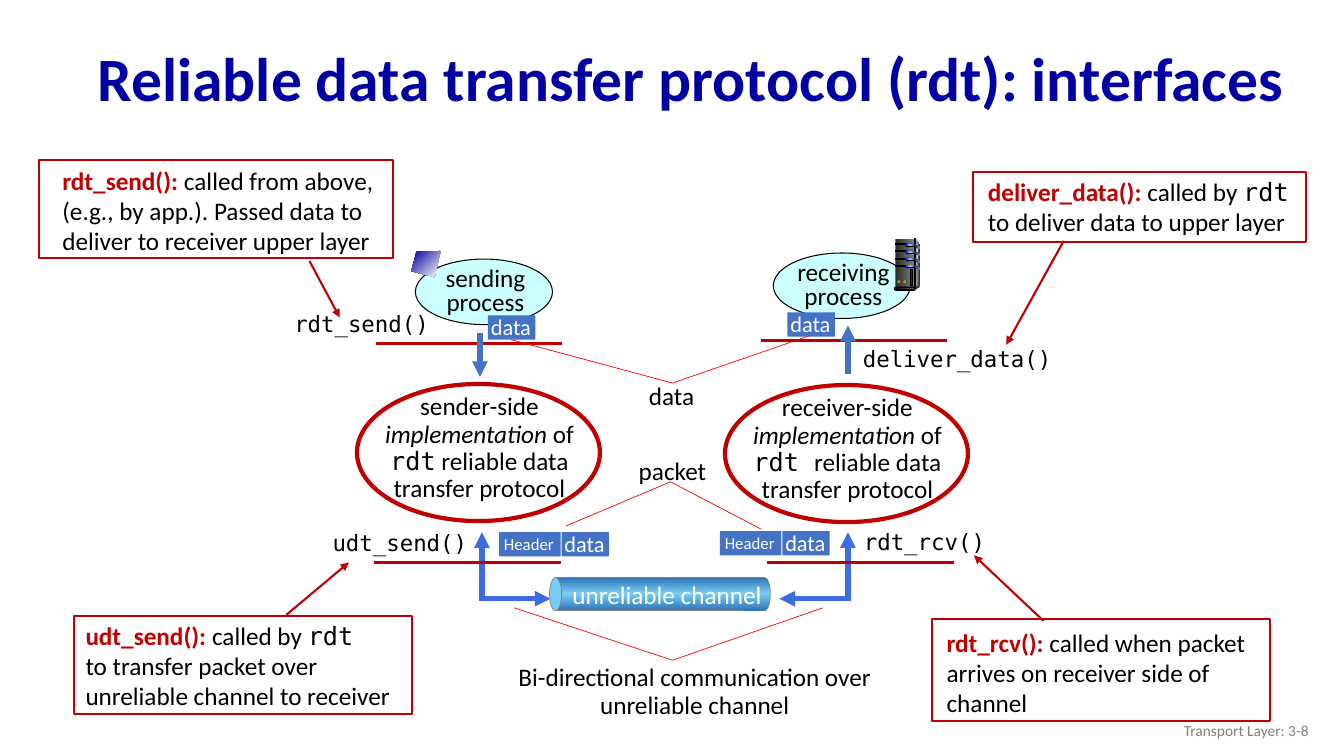
from copy import deepcopy

from lxml import etree
from pptx import Presentation
from pptx.dml.color import RGBColor
from pptx.enum.shapes import MSO_CONNECTOR, MSO_SHAPE
from pptx.enum.text import MSO_ANCHOR, PP_ALIGN
from pptx.oxml.ns import qn
from pptx.util import Inches, Pt

RECT, ROUND, OVAL = MSO_SHAPE.RECTANGLE, MSO_SHAPE.ROUNDED_RECTANGLE, MSO_SHAPE.OVAL
STRAIGHT = MSO_CONNECTOR.STRAIGHT
TOP, MIDDLE = MSO_ANCHOR.TOP, MSO_ANCHOR.MIDDLE
LEFT, CENTER, RIGHT = PP_ALIGN.LEFT, PP_ALIGN.CENTER, PP_ALIGN.RIGHT
SANS, MONO = "Calibri", "DejaVu Sans Mono"
RED, THIN_RED, BLUE, LINK = "C00000", "FF0000", "4472C4", "3C6CDF"
BLACK, WHITE, GRAY = "000000", "FFFFFF", "808080"
PIPE = [(0, "2E75B6"), (0.52, "7ACCF4"), (1, "2E75B6")]
LED = [(0, "0000FF"), (0.5, "99CCFF"), (1, "0000FF")]
DARK = [(0, "292929"), (1, GRAY)]
CODE, NAME, ITALIC = {"font": MONO}, {"bold": True, "color": RED}, {"italic": True}

# Every length is in cells of a grid of 133.3 columns by 75 rows
prs = Presentation()
prs.slide_width, prs.slide_height = Inches(13.33), Inches(7.5)
CELL = prs.slide_height / 75
slide = prs.slides.add_slide(prs.slide_layouts[6])
shapes = slide.shapes


def emu(*cells):
    return [round(c * CELL) for c in cells]


def rgb(value):
    return RGBColor.from_string(value)


def paint(sp, fill, line=None, width=0.75, angle=0):
    """Fill with a colour, a list of gradient stops, or nothing; then outline."""
    sp.shadow.inherit = False
    if fill is None:
        sp.fill.background()
    elif isinstance(fill, str):
        sp.fill.solid()
        sp.fill.fore_color.rgb = rgb(fill)
    else:
        sp.fill.gradient()
        sp.fill.gradient_angle = angle
        stops = next(sp._element.iter(qn("a:gsLst")))
        while len(stops) < len(fill):
            stops.append(deepcopy(stops[-1]))
        for stop, (position, color) in zip(sp.fill.gradient_stops, fill):
            stop.position, stop.color.rgb = position, rgb(color)
    if line:
        sp.line.color.rgb, sp.line.width = rgb(line), Pt(width)
    else:
        sp.line.fill.background()


def shape(kind, box, fill=None, **look):
    sp = shapes.add_shape(kind, *emu(*box))
    if kind == ROUND:
        sp.adjustments[0] = 0.5
    paint(sp, fill, **look)


def outline(x, y, points, fill, **look):
    points = [emu(x + dx, y + dy) for dx, dy in points]
    builder = shapes.build_freeform(*points[0])
    builder.add_line_segments(points[1:], close=True)
    paint(builder.convert_to_shape(), fill, **look)


def line(start, end, color, width, arrow=False):
    sp = shapes.add_connector(STRAIGHT, *emu(*start, *end))
    sp.line.color.rgb, sp.line.width = rgb(color), Pt(width)
    if arrow:
        etree.SubElement(sp.line._get_or_add_ln(), qn("a:tailEnd"), type="triangle")
    etree.SubElement(sp._element.spPr, qn("a:effectLst"))


def text(box, content, size=18, color=BLACK, font=SANS, bold=False,
         align=LEFT, spacing=None, anchor=TOP, wrap=True):
    """content is a string, or a list of paragraphs made of (text, format) runs."""
    tf = shapes.add_textbox(*emu(*box)).text_frame
    tf.word_wrap, tf.vertical_anchor = wrap, anchor
    paragraphs = [[(content, {})]] if isinstance(content, str) else content
    for i, runs in enumerate(paragraphs):
        p = tf.add_paragraph() if i else tf.paragraphs[0]
        p.alignment = align
        if spacing:
            p.line_spacing = spacing
        for words, own in runs:
            r = p.add_run()
            r.text = words
            r.font.size = Pt(size)
            r.font.name = own.get("font", font)
            r.font.bold = own.get("bold", bold)
            r.font.italic = own.get("italic", False)
            r.font.color.rgb = rgb(own.get("color", color))


def tag(x, y, label="data"):
    if label == "data":
        shape(RECT, (x, y, 4.7, 2.4), BLUE)
        text((x - 0.7, y - 0.7, 6.3, 3.7), label, size=16, color=WHITE)
    else:
        shape(RECT, (x, y, 6.1, 2.4), BLUE)
        text((x - 0.5, y - 0.3, 7.5, 3), label, size=12, color=WHITE)


def packet(x, y):
    tag(x + 6.2, y)
    tag(x, y, "Header")


def process(x, y, name, tag_dx, tag_dy):
    shape(OVAL, (x, y, 13.6, 6.5), "CCFFFF", line=BLACK)
    text((x + 0.9, y + 0.4, 12.1, 5.9), name, align=CENTER, spacing=0.8)
    tag(x + tag_dx, y + tag_dy)


def server(x, y):
    # Cabinet: side, front, edge
    outline(x, y, [(2.1, 0), (2.5, 0.6), (2.5, 4.6), (2, 4.9)],
            [(0, "DDDDDD"), (1, "333333")])
    shape(RECT, (x + 0.1, y, 1.9, 4.9), DARK)
    outline(x, y, [(2.1, 0.3), (2.4, 0.7), (2.2, 2.6), (2.1, 4.7)],
            [(0, GRAY), (1, "F8F8F8")])
    shape(RECT, (x + 2, y, 0.1, 4.9),
          [(0, "333333"), (0.5, "DDDDDD"), (1, "333333")], line=BLACK)
    # Drive slots
    for row in range(4):
        top = y + 0.5 + 0.7 * row
        shape(RECT, (x + 0.1, top, 1.1, 0.1), BLACK, line=BLACK)
        shape(ROUND, (x + 1.1, top, 1, 0.3), BLACK)
        shape(ROUND, (x + 1.1, top, 1, 0.2), LED)
        outline(x + 2, top, [(0, 0), (0.5, 0.3), (0.5, 0.5), (0, 0.2)], DARK)
    # Base, lamps, handle
    outline(x + 2, y + 4.6, [(0, 0.2), (0, 0.5), (0.5, 0.2), (0.5, 0)], "333333")
    shape(ROUND, (x, y + 4.8, 2.1, 0.3), "DDDDDD", line=BLACK)
    shape(ROUND, (x + 0.1, y + 4.8, 1.9, 0.2), [(0, BLACK), (1, GRAY)], line=BLACK)
    for i, color in enumerate(("33CC33", "FF0000", "33CC33")):
        shape(OVAL, (x + 0.3 + 0.3 * i, y + 4.1, 0.3, 0.3), color)
    shape(RECT, (x + 1.6, y + 3, 0.2, 1.6), "292929", line=BLACK)


def protocol(x, y, side, code, rest):
    text((x + 1.2, y + 0.5, 21.9, 11.9),
         [[(side, {})],
          [("implementation", ITALIC), (" of ", {}), (code, CODE), (rest, {})]],
         align=CENTER, spacing=0.9)
    shape(OVAL, (x, y, 24.1, 13.6), line=RED, width=3)


def channel(x, y):
    shape(RECT, (x + 0.6, y, 20.7, 3.3), PIPE, line=GRAY, width=0.5, angle=90)
    shape(OVAL, (x, y, 1.2, 3.3), "7ACCF4", line=GRAY, width=0.5)
    shape(OVAL, (x + 20.7, y, 1.2, 3.3), PIPE, line=GRAY, width=0.5, angle=90)
    shape(RECT, (x + 19.2, y, 2.1, 3.3), PIPE, angle=90)
    text((x + 1.3, y - 0.3, 21, 4), "unreliable channel", color=WHITE, wrap=False)
    # Two-way links up to both protocol sides
    for corner, end in ((x - 6.7, x + 0.1), (x + 29.6, x + 22.8)):
        line((corner, y + 2.3), (corner, y - 4.5), LINK, 3.75, arrow=True)
        line((corner, y + 2.1), (end, y + 2.1), LINK, 3.75, arrow=True)


def callout(box, shift, text_width, content, start, tip):
    x, y, w, h = box
    text((x + shift[0], y + shift[1], text_width, h + 0.3), content)
    line(start, tip, RED, 1.5, arrow=True)
    shape(RECT, box, line=RED, width=1.5)


def joint_label(box, words, meet, ends):
    text(box, words, align=CENTER, spacing=0.9)
    for end in ends:
        line(end, meet, THIN_RED, 0.5)


def interfaces():
    for x, y, width in ((37.3, 34.1, 18.4), (75.5, 33.8, 18.4),
                        (37.1, 55.8, 18.5), (76.1, 55.8, 18.5)):
        line((x, y), (x + width, y), RED, 1.75)
    for x, y, width, call in ((28.2, 30.3, 18.5, "rdt_send()"),
                              (32, 52, 18.5, "udt_send()"),
                              (84.7, 51.9, 18.5, "rdt_rcv()"),
                              (84.6, 33.8, 21.2, "deliver_data()")):
        text((x, y, width, 3.7), call, size=16, font=MONO)
    line((47.6, 33), (47.6, 37.4), BLUE, 3.75, arrow=True)
    line((84.1, 37.1), (84.1, 32.3), BLUE, 3.75, arrow=True)


# Title and footer
text((8.7, 3.2, 121.4, 9.8), "Reliable data transfer protocol (rdt): interfaces",
     size=44, color="0000A3", bold=True, spacing=0.9, anchor=MIDDLE)
text((100.8, 70.5, 30, 4), "Transport Layer: 3-8", size=11, color=GRAY,
     align=RIGHT, anchor=MIDDLE)

# Sender and receiver stacks
process(41.2, 25.7, "sending process", 7.2, 5.6)
outline(40.8, 24.9, [(2.9, 0), (0.5, 0.1), (0, 2), (2.3, 2.6)],
        [(0, "000099"), (1, WHITE)], angle=315)
process(76.7, 25.1, "receiving process", 1.4, 5.9)
server(88.7, 23.7)
channel(54.5, 57.3)
interfaces()
protocol(35.4, 38.1, "sender-side", "rdt", " reliable data transfer protocol")
protocol(71.9, 38.2, "receiver-side", "rdt ", "reliable data transfer protocol")
packet(49.5, 52.8)
packet(71.4, 52.7)

# Callouts for the four calls
callout((3.9, 15.9, 35.1, 9.7), (1.3, 0), 32.9,
        [[("rdt_send(): ", NAME), ("called from above, (e.g., by app.). Passed data "
                                   "to deliver to receiver upper layer", {})]],
        (30.7, 25.9), (33.7, 31.5))
callout((7.3, 61.1, 33.6, 9.7), (0.2, -0.1), 32.6,
        [[("udt_send(): ", NAME), ("called by ", {}), ("rdt", CODE)],
         [("to transfer packet over", {})], [("unreliable channel to receiver", {})]],
        (28.4, 61), (34.6, 55.8))
callout((92.4, 61.4, 33.6, 10.1), (0.5, 0.3), 33.6,
        [[("rdt_rcv(): ", NAME),
          ("called when packet arrives on receiver side of channel", {})]],
        (103.5, 61.6), (96.6, 55.1))
callout((96.5, 17.1, 33, 6.9), (0.5, -0.1), 33,
        [[("deliver_data(): ", NAME), ("called by ", {}), ("rdt ", CODE),
          ("to deliver data to upper layer", {})]],
        (105.5, 23.9), (99.8, 34.2))

# Labels shared by both sides
joint_label((48, 65.5, 41.8, 6.5), "Bi-directional communication over unreliable channel",
            (66.7, 65.5), [(51, 60.3), (81.6, 60.3)])
joint_label((45.7, 37.6, 41.8, 3.7), "data", (66.7, 38), [(50.7, 33.7), (80.3, 33.3)])
joint_label((60.5, 45, 12.4, 3.7), "packet", (66.5, 47.8), [(56.1, 52.2), (75.5, 52.5)])

prs.save("out.pptx")
